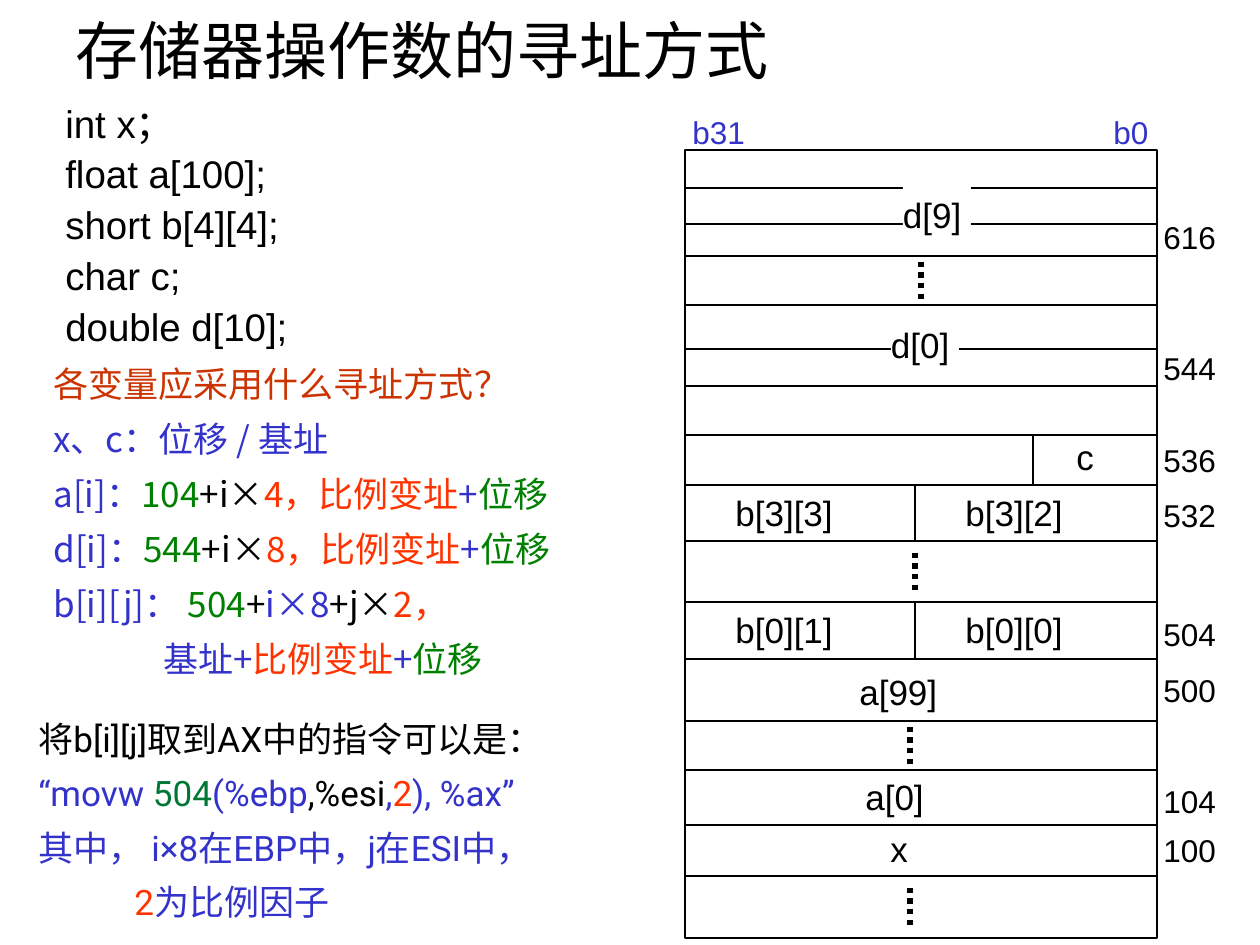
from lxml import etree
from pptx import Presentation
from pptx import util as u
from pptx.dml import color
from pptx.enum import dml, shapes, text
from pptx.oxml import ns

SCALE = 914400 / 126
COLORS = {
    "black": "000000", "white": "FFFFFF", "blue": "3333CC", "rust": "CC3300",
    "red": "FF3300", "green": "008000", "teal": "007635",
}
CJK = "Noto Sans CJK SC"


def px(length):
    return u.Emu(round(length * SCALE))


def rgb(name):
    return color.RGBColor.from_string(COLORS[name])


def add_run(paragraph, wording, hue, size, face):
    run = paragraph.add_run()
    run.text = wording
    run.font.size = u.Pt(size)
    run.font.name = face
    run.font.color.rgb = rgb(hue)
    east = etree.SubElement(run._r.get_or_add_rPr(), ns.qn("a:ea"))
    east.set("typeface", CJK)


def write(parent, box, rows, size, face, spacing=1.0, indents=None):
    frame = parent.add_textbox(*map(px, box)).text_frame
    frame.word_wrap = True
    for index, row in enumerate(rows):
        paragraph = frame.paragraphs[0] if index == 0 else frame.add_paragraph()
        paragraph.line_spacing = spacing
        if indents and index in indents:
            paragraph._p.get_or_add_pPr().set("marL", str(px(indents[index])))
        for wording, hue in row:
            add_run(paragraph, wording, hue, size, face)
    return frame


def add_line(parent, x1, y1, x2, y2, width=0.75, dash=None):
    line = parent.add_connector(shapes.MSO_CONNECTOR.STRAIGHT, *map(px, (x1, y1, x2, y2)))
    line.line.color.rgb = rgb("black")
    line.line.width = u.Pt(width)
    if dash:
        line.line.dash_style = dash
    etree.SubElement(line._element.spPr, ns.qn("a:effectLst"))


def add_box(parent, box):
    box_shape = parent.add_shape(shapes.MSO_SHAPE.RECTANGLE, *map(px, box))
    box_shape.shadow.inherit = False
    box_shape.fill.solid()
    box_shape.fill.fore_color.rgb = rgb("white")
    return box_shape


def title(slide, box):
    frame = write(slide.shapes, box, [[("存储器操作数的寻址方式", "black")]], 36, "Roboto", 0.9)
    frame.vertical_anchor = text.MSO_ANCHOR.MIDDLE


def declarations(slide, box):
    code = ["int x；", "float a[100];", "short b[4][4];", "char c;", "double d[10];"]
    write(slide.shapes, box, [[(line, "black")] for line in code], 22, "Arial", u.Pt(29))


def addressing(slide, box):
    scaled = [("比例变址", "red"), ("+", "blue"), ("位移", "green")]
    rows = [
        [("各变量应采用什么寻址方式？", "rust")],
        [("x、c：位移 / 基址", "blue")],
    ]
    for variable, base, factor in [("a[i]：", "104", "4，"), ("d[i]：", "544", "8，")]:
        rows.append([(variable, "blue"), (base, "green"), ("+i×", "black"), (factor, "red")] + scaled)
    rows.append([("b[i][j]： ", "blue"), ("504", "green"), ("+", "black"),
                 ("i×8", "blue"), ("+j×", "black"), ("2，", "red")])
    rows.append([("基址+", "blue")] + scaled)
    write(slide.shapes, box, rows, 20, CJK, u.Pt(31.5), {5: 110})


def instruction(slide, box):
    rows = [
        [("将b[i][j]取到AX中的指令可以是：", "black")],
        [("“movw ", "blue"), ("504", "teal"), ("(%ebp", "blue"), (",%esi", "black"),
         (",", "blue"), ("2", "red"), ("), %ax”", "blue")],
        [("其中， i×8在EBP中，j在ESI中，", "blue")],
        [("2", "red"), ("为比例因子", "blue")],
    ]
    write(slide.shapes, box, rows, 20, "Roboto", u.Pt(31), {3: 96})


def memory(slide, box):
    left, top, width, height = box
    parts = slide.shapes.add_group_shape().shapes
    frame = add_box(parts, box)
    frame.line.color.rgb = rgb("black")
    frame.line.width = u.Pt(0.75)

    for y in (38, 74, 106, 155, 199, 236, 285, 335, 391, 452, 509, 571, 620, 675, 726):
        add_line(parts, left, top + y, left + width, top + y)
    for x, y1, y2 in [(348, 285, 335), (230, 335, 391), (230, 452, 509)]:
        add_line(parts, left + x, top + y1, left + x, top + y2)
    for x, y in [(236, 112), (230, 403), (225, 577), (225, 738)]:
        add_line(parts, left + x, top + y, left + x, top + y + 37, 3, dml.MSO_LINE.ROUND_DOT)

    def label(wording, x, y, span, size, hue="black"):
        write(parts, (left + x, top + y, span, 54), [[(wording, hue)]], size, "Arial")

    for bit, x in [("b31", -5), ("b0", 416)]:
        label(bit, x, -43, 81, 18, "blue")
    for cell, x, y, span in [
        ("c", 379, 279, 55), ("b[3][3]", 38, 335, 155), ("b[3][2]", 268, 335, 155),
        ("b[0][1]", 38, 452, 155), ("b[0][0]", 268, 452, 155),
        ("a[99]", 162, 514, 112), ("a[0]", 168, 619, 112), ("x", 193, 671, 55),
    ]:
        label(cell, x, y, span, 20)
    for address, y in [("616", 62), ("544", 193), ("536", 285), ("532", 340),
                       ("504", 459), ("500", 515), ("104", 626), ("100", 675)]:
        label(address, 466, y, 81, 18)

    for cell, x, y in [("d[9]", 218, 37), ("d[0]", 206, 167)]:
        patch = add_box(parts, (left + x, top + y, 68, 54))
        patch.line.fill.background()
        words = patch.text_frame
        words.margin_left = words.margin_right = 0
        words.word_wrap = False
        words.vertical_anchor = text.MSO_ANCHOR.TOP
        words.paragraphs[0].alignment = text.PP_ALIGN.LEFT
        add_run(words.paragraphs[0], cell, "black", 20, "Arial")


def main():
    deck = Presentation()
    deck.slide_width, deck.slide_height = px(1260), px(945)
    slide = deck.slides.add_slide(deck.slide_layouts[6])
    title(slide, (63, 16, 1134, 77))
    declarations(slide, (53, 89, 316, 266))
    addressing(slide, (41, 343, 580, 354))
    memory(slide, (685, 150, 472, 788))
    instruction(slide, (26, 699, 648, 230))
    deck.save("out.pptx")


if __name__ == "__main__":
    main()
